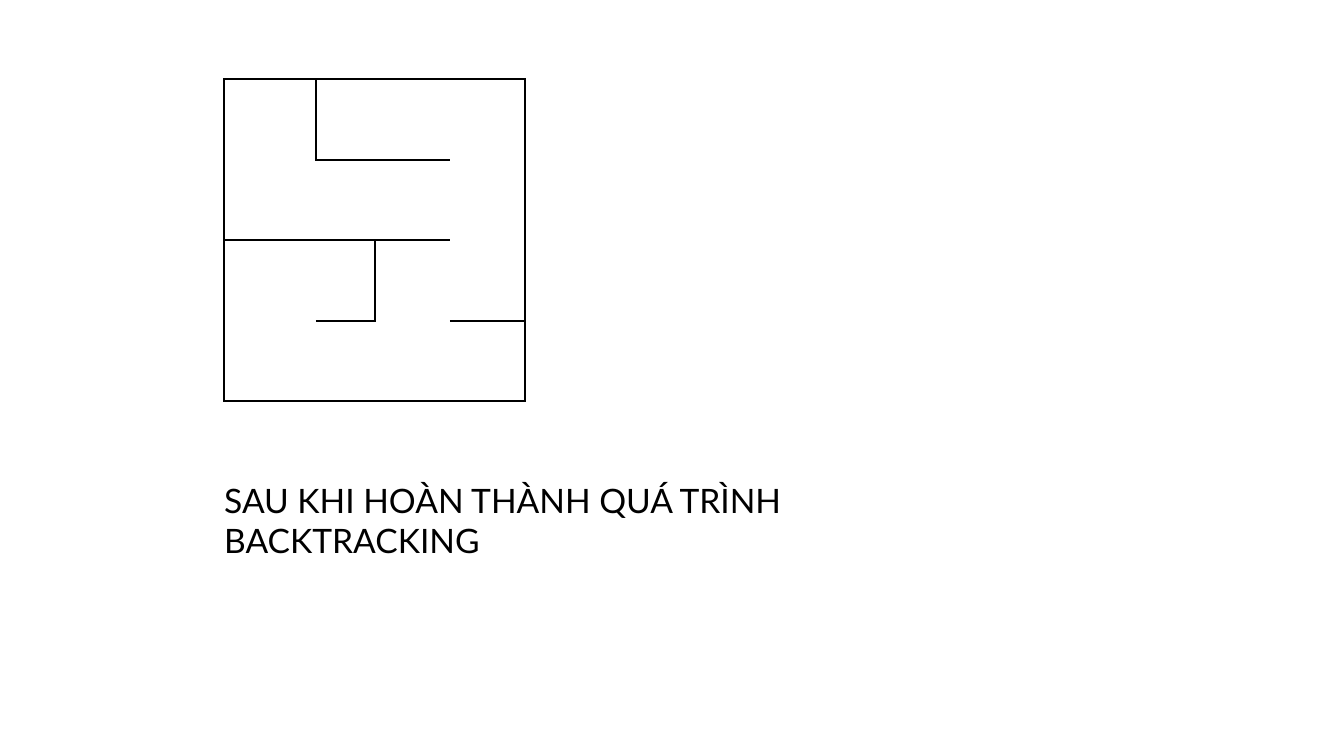
import dataclasses

import lxml.etree
import pptx
import pptx.dml.color
import pptx.enum.text
import pptx.oxml.ns
import pptx.util

EMU_PER_PX = 914400 / 134.4


@dataclasses.dataclass(frozen=True)
class Theme:
    paper: str = "FFFFFF"
    ink: str = "000000"
    font: str = "Lato"
    caption_size: int = 18
    wall_width: int = 1


def px(length):
    return pptx.util.Emu(round(length * EMU_PER_PX))


def color(value):
    return pptx.dml.color.RGBColor.from_string(value)


def add_element(parent, tag, **attributes):
    return lxml.etree.SubElement(parent, pptx.oxml.ns.qn(tag), **attributes)


class MazeSlide:
    def __init__(self, deck, theme):
        self.theme = theme
        self.page = deck.slides.add_slide(deck.slide_layouts[6])
        self.page.background.fill.solid()
        self.page.background.fill.fore_color.rgb = color(theme.paper)

    def add_maze(self, left, top, column_widths, row_heights, walls):
        frame = self.page.shapes.add_table(
            len(row_heights), len(column_widths), px(left), px(top),
            px(sum(column_widths)), px(sum(row_heights)))
        table = frame.table
        table.first_row = False
        table.horz_banding = False
        for column, width in zip(table.columns, column_widths):
            column.width = px(width)
        for row, height, row_walls in zip(table.rows, row_heights, walls):
            row.height = px(height)
            for cell, sides in zip(row.cells, row_walls.split()):
                self.draw_walls(cell, sides)
                cell.fill.solid()
                cell.fill.fore_color.rgb = color(self.theme.paper)

    def draw_walls(self, cell, sides):
        properties = cell._tc.get_or_add_tcPr()
        width = str(int(pptx.util.Pt(self.theme.wall_width)))
        for side in "LRTB":
            line = add_element(properties, f"a:ln{side}", w=width)
            if side in sides:
                fill = add_element(line, "a:solidFill")
                add_element(fill, "a:srgbClr", val=self.theme.ink)
            else:
                add_element(line, "a:noFill")

    def add_caption(self, text, left, top, width, height):
        box = self.page.shapes.add_textbox(px(left), px(top), px(width), px(height))
        text_frame = box.text_frame
        text_frame.text = text
        text_frame.word_wrap = True
        text_frame.auto_size = pptx.enum.text.MSO_AUTO_SIZE.SHAPE_TO_FIT_TEXT
        font = text_frame.paragraphs[0].runs[0].font
        font.name = self.theme.font
        font.size = pptx.util.Pt(self.theme.caption_size)
        font.color.rgb = color(self.theme.ink)


def main():
    deck = pptx.Presentation()
    deck.slide_width = px(1344)
    deck.slide_height = px(756)
    slide = MazeSlide(deck, Theme())
    slide.add_maze(
        224, 79, column_widths=[92, 59, 75, 75], row_heights=[81, 80, 81, 80],
        walls=["LTR LTB TB TR",
               "LB TB TB R",
               "LT TRB LT RB",
               "LB TB B TRB"])
    slide.add_caption("SAU KHI HOÀN THÀNH QUÁ TRÌNH BACKTRACKING", 211, 473, 778, 54)
    deck.save("out.pptx")


if __name__ == "__main__":
    main()
